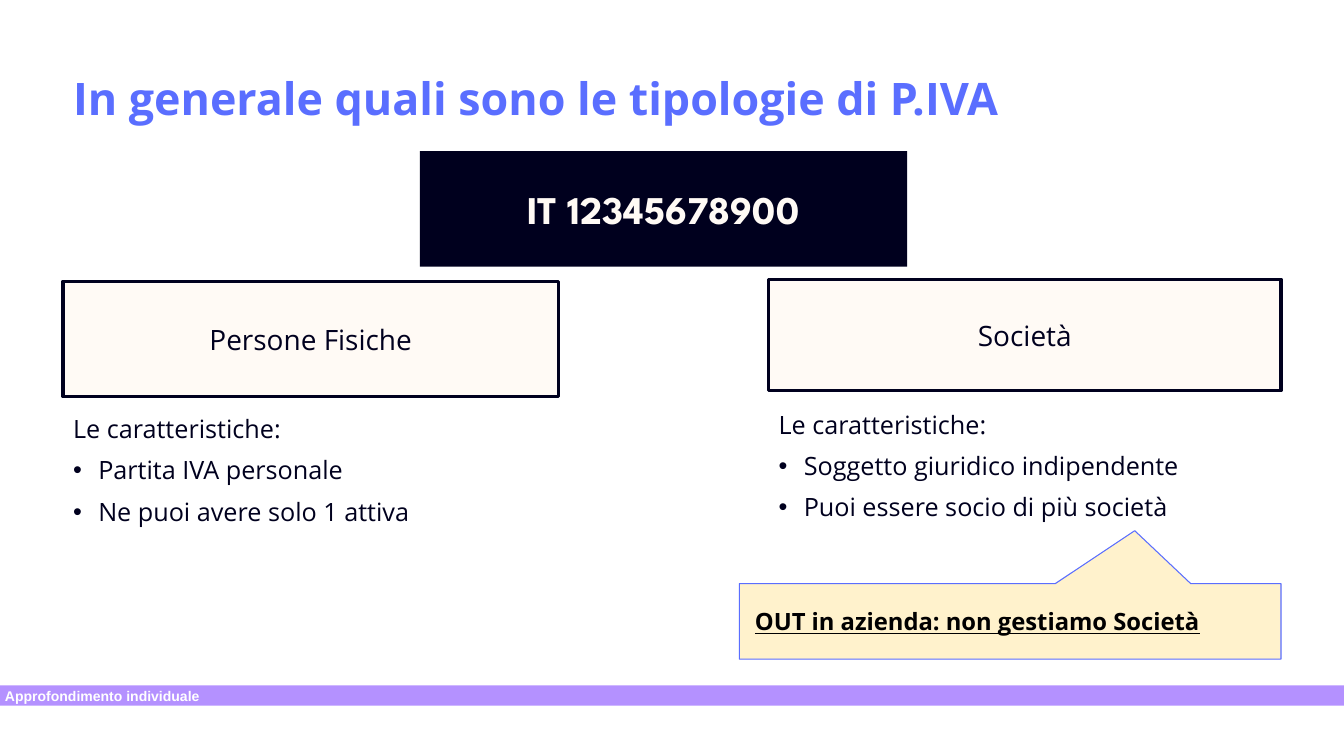
import pptx
import pptx.dml.color
import pptx.enum.shapes
import pptx.enum.text
import pptx.oxml
import pptx.oxml.ns
import pptx.util
from pptx.util import Inches

COLORS = {
    "blue": "5A6EFF",
    "navy": "00001E",
    "cream": "FFFAF5",
    "purple": "B491FF",
    "yellow": "FFF2CC",
    "white": "FFFFFF",
    "black": "000000",
}
SHAPES = pptx.enum.shapes.MSO_SHAPE
ALIGN = pptx.enum.text.PP_ALIGN
ANCHOR = pptx.enum.text.MSO_ANCHOR


def rgb(name):
    return pptx.dml.color.RGBColor.from_string(COLORS[name])


def place(shape, box):
    shape.left, shape.top, shape.width, shape.height = map(Inches, box)


def set_frame(shape, anchor, side=0.2, edge=0.1):
    frame = shape.text_frame
    frame.word_wrap = True
    frame.auto_size = pptx.enum.text.MSO_AUTO_SIZE.NONE
    frame.vertical_anchor = anchor
    frame.margin_left = frame.margin_right = Inches(side)
    frame.margin_top = frame.margin_bottom = Inches(edge)
    return frame


def add_run(paragraph, text, size, color, font="Open Sans", bold=False, underline=False):
    run = paragraph.add_run()
    run.text = text
    run.font.name = font
    run.font.size = pptx.util.Pt(size)
    run.font.bold = bold
    run.font.underline = underline
    run.font.color.rgb = rgb(color)


def add_box(slide, box, fill, line=None, line_width=0, kind=SHAPES.RECTANGLE):
    shape = slide.shapes.add_shape(kind, *map(Inches, box))
    shape.shadow.inherit = False
    shape.fill.solid()
    shape.fill.fore_color.rgb = rgb(fill)
    if line:
        shape.line.color.rgb = rgb(line)
        shape.line.width = pptx.util.Pt(line_width)
    else:
        shape.line.fill.background()
    return shape


def label(shape, text, size, color, align=ALIGN.CENTER, side=0.2, edge=0.1, **style):
    paragraph = set_frame(shape, ANCHOR.MIDDLE, side, edge).paragraphs[0]
    paragraph.alignment = align
    add_run(paragraph, text, size, color, **style)
    return paragraph


def set_bullet(paragraph, bulleted):
    properties = paragraph._p.get_or_add_pPr()
    indent = Inches(0.5) if bulleted else 0
    properties.set("marL", str(indent))
    properties.set("indent", str(-indent))
    namespace = pptx.oxml.ns.nsdecls("a")
    if bulleted:
        elements = [
            f'<a:buClr {namespace}><a:srgbClr val="{COLORS["navy"]}"/></a:buClr>',
            f'<a:buFont {namespace} typeface="Arial"/>',
            f'<a:buChar {namespace} char="•"/>',
        ]
    else:
        elements = [f"<a:buNone {namespace}/>"]
    for element in elements:
        properties.append(pptx.oxml.parse_xml(element))


def add_title(slide, box, text):
    title = slide.shapes.title
    place(title, box)
    paragraph = label(title, text, 64, "blue", ALIGN.LEFT, bold=True)
    paragraph.line_spacing = 0.9


def add_category(slide, placeholder, box, heading_height, list_offset, heading, items):
    left, top, width, height = box
    heading_box = add_box(slide, (left, top, width, heading_height), "cream", "navy", 4.5)
    label(heading_box, heading, 40, "navy")
    place(placeholder, (left, top + list_offset, width, height - list_offset))
    frame = set_frame(placeholder, ANCHOR.TOP)
    for index, text in enumerate(["Le caratteristiche:", *items]):
        paragraph = frame.add_paragraph() if index else frame.paragraphs[0]
        set_bullet(paragraph, index > 0)
        paragraph.line_spacing = 0.9
        paragraph.space_before = pptx.util.Pt(20 if index else 0)
        add_run(paragraph, text, 36, "navy")


def add_vat_number(slide, box):
    label(add_box(slide, box, "navy"), "IT 12345678900", 56, "cream",
          font="League Spartan", bold=True)


def add_footer_band(slide, box):
    label(add_box(slide, box, "purple"), "Approfondimento individuale", 20, "white",
          ALIGN.LEFT, side=0.1, font="Arial", bold=True)


def add_callout(slide, box):
    callout = add_box(slide, box, "yellow", "blue", 1.5, SHAPES.RECTANGULAR_CALLOUT)
    callout.adjustments[0] = 0.23
    callout.adjustments[1] = -1.2
    label(callout, "OUT in azienda: non gestiamo Società", 34, "black", ALIGN.LEFT,
          side=0.31, edge=0.2, bold=True, underline=True)


def main():
    presentation = pptx.Presentation()
    presentation.slide_width = Inches(26.67)
    presentation.slide_height = Inches(15)
    slide = presentation.slides.add_slide(presentation.slide_layouts[3])
    people_list, company_list = slide.placeholders[1], slide.placeholders[2]

    add_title(slide, (1.25, 1, 24.17, 2), "In generale quali sono le tipologie di P.IVA")
    add_vat_number(slide, (8.33, 3, 9.67, 2.29))
    add_category(slide, people_list, (1.25, 5.58, 9.83, 5.85), 2.29, 2.59,
                 "Persone Fisiche",
                 ["Partita IVA personale", "Ne puoi avere solo 1 attiva"])
    add_category(slide, company_list, (15.25, 5.54, 10.17, 5.8), 2.21, 2.54,
                 "Società",
                 ["Soggetto giuridico indipendente", "Puoi essere socio di più società"])
    add_footer_band(slide, (0, 13.6, 26.67, 0.4))
    add_callout(slide, (14.67, 11.58, 10.75, 1.5))
    presentation.save("out.pptx")


if __name__ == "__main__":
    main()
